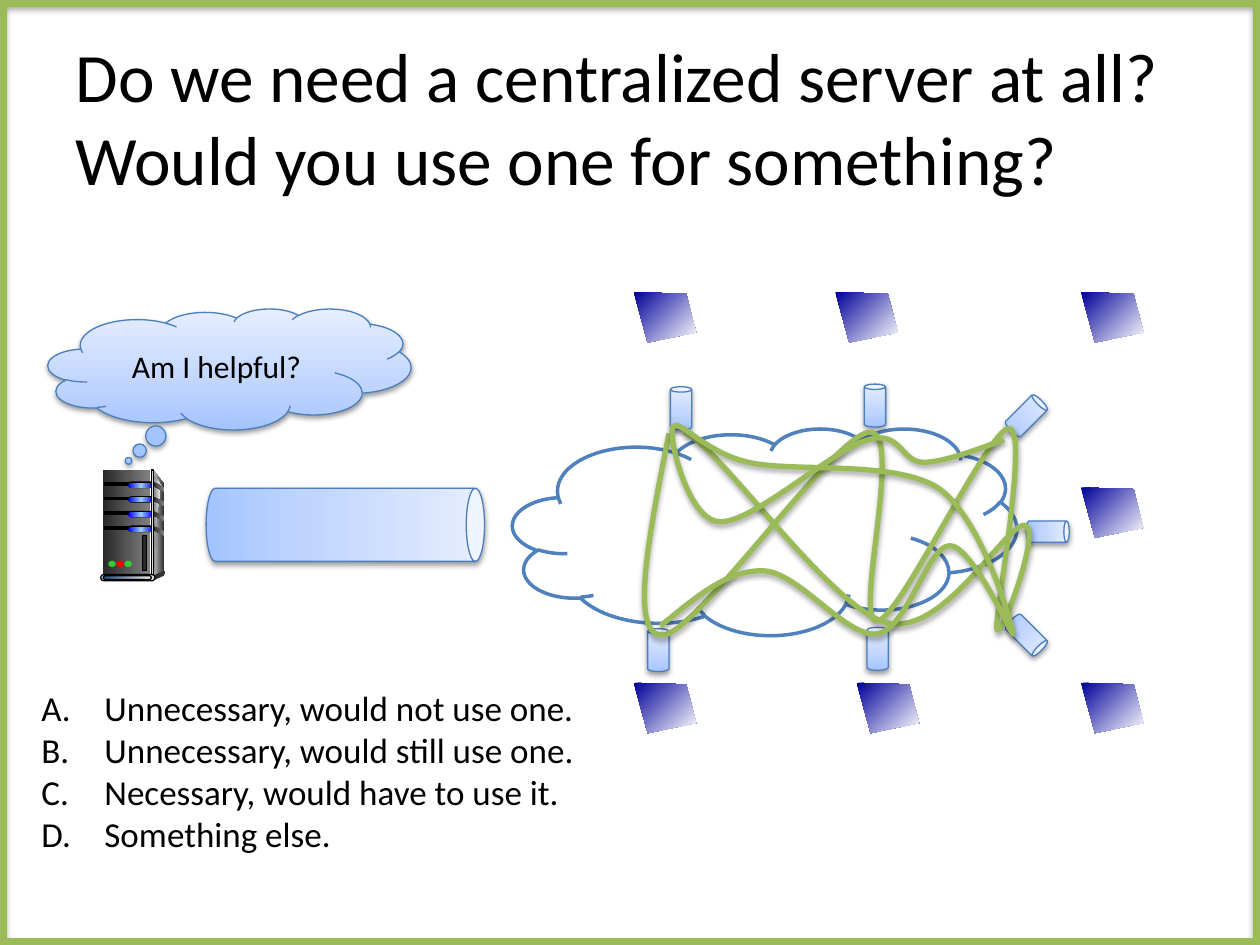
from lxml import etree
from pptx import Presentation
from pptx.dml.color import RGBColor
from pptx.enum import shapes, text
from pptx.oxml.ns import qn
from pptx.util import Pt

KIND = shapes.MSO_SHAPE
GLASS = ((0, "A4C4FF"), (35, "BFD4FF"), (100, "E6EEFF"))
METAL = ((0, "292929"), (100, "808080"))
BLUE_LIGHT = ((0, "0000FF"), (50, "99CCFF"), (100, "0000FF"))
SCREEN = ((0, "000099"), (100, "FFFFFF"))
SOFT = (38, 3.1, 1.6)  # shadow opacity in percent, blur, distance
GREEN_SHADOW = (35, 3.1, 1.8)

deck = Presentation()
deck.slide_width, deck.slide_height = Pt(720), Pt(540)
slide = deck.slides.add_slide(deck.slide_layouts[5])


def paint(shape, fill=None, line=None, width=0.75, angle=0, shadow=None):
    """Format a shape; fill is a hex colour or (percent, hex) stops, angle runs clockwise."""
    if fill is None:
        shape.fill.background()
    elif isinstance(fill, str):
        shape.fill.solid()
        shape.fill.fore_color.rgb = RGBColor.from_string(fill)
    else:
        shape.fill.gradient()
        shape.fill.gradient_angle = -angle % 360
        stops = shape._element.spPr.find(".//" + qn("a:gsLst"))
        for stop in list(stops):
            stops.remove(stop)
        for percent, colour in fill:
            stop = etree.SubElement(stops, qn("a:gs"), pos=str(percent * 1000))
            etree.SubElement(stop, qn("a:srgbClr"), val=colour)
    if line:
        shape.line.color.rgb = RGBColor.from_string(line)
        shape.line.width = Pt(width)
    else:
        shape.line.fill.background()
    shape.shadow.inherit = False
    if shadow:
        opacity, blur, distance = shadow
        effects = shape._element.spPr.find(qn("a:effectLst"))
        outer = etree.SubElement(effects, qn("a:outerShdw"), blurRad=str(Pt(blur)),
                                 dist=str(Pt(distance)), dir="5400000", rotWithShape="0")
        black = etree.SubElement(outer, qn("a:srgbClr"), val="000000")
        etree.SubElement(black, qn("a:alpha"), val=str(opacity * 1000))


def outline(points, curved=False, closed=True):
    """Add a freeform; when curved, every three points after the first make one Bézier."""
    start, *rest = [(Pt(x), Pt(y)) for x, y in points]
    builder = slide.shapes.build_freeform(*start)
    builder.add_line_segments(rest, close=closed)
    shape = builder.convert_to_shape()
    if curved:
        segments = list(shape._element.spPr.iter(qn("a:lnTo")))
        for i in range(0, len(segments), 3):
            curve = etree.Element(qn("a:cubicBezTo"))
            segments[i].addprevious(curve)
            for segment in segments[i:i + 3]:
                curve.append(segment[0])
                segment.getparent().remove(segment)
    return shape


title = slide.shapes.title
title.left, title.top, title.width, title.height = Pt(36), Pt(21.6), Pt(648), Pt(90)
title.text_frame.text = "Do we need a centralized server at all? Would you use one for something?"
title.text_frame.auto_size = text.MSO_AUTO_SIZE.NONE
title.text_frame.vertical_anchor = text.MSO_ANCHOR.MIDDLE
heading = title.text_frame.paragraphs[0]
heading.alignment = text.PP_ALIGN.LEFT
heading.font.size, heading.font.name = Pt(39.6), "Calibri"
heading.font.color.rgb = RGBColor.from_string("000000")

# Server case
paint(outline([(87.8, 268.6), (93.6, 276.5), (93.6, 326.9), (86.4, 329)]),
      ((0, "DDDDDD"), (100, "333333")))
front = slide.shapes.add_shape(KIND.RECTANGLE, Pt(59), Pt(268.6), Pt(26.6), Pt(60.5))
paint(front, METAL)
paint(outline([(87.8, 272.2), (87.8, 272.2), (89.3, 272.9), (92.2, 277.2),
               (87.8, 299.5), (88.6, 328.3), (87.8, 327.6)], curved=True),
      ((0, "808080"), (100, "F8F8F8")))

# Server parts: kind, left, top, width, height, fill, line
parts = []
for bay in range(4):
    y = 275.8 + 8.4 * bay
    parts += [(KIND.RECTANGLE, 59.8, y, 15.1, 1.4, "000000", "000000"),
              (KIND.ROUNDED_RECTANGLE, 73.2, y - 0.7, 15.1, 3.8, "000000", None),
              (KIND.ROUNDED_RECTANGLE, 73.4, y, 14.4, 2.8, BLUE_LIGHT, None)]
    vent = [(0, 0), (1.2, 0.4), (3.4, 1.6), (6.3, 3.2), (6.3, 4), (6.3, 3.8), (6.3, 5.6),
            (6.3, 5.6), (3.8, 3.8), (0, 2.3), (0, 1.2), (0, 0.5), (0, 0)]
    paint(outline([(87.4 + dx, y - 0.4 + dy) for dx, dy in vent], curved=True), METAL)
parts += [
    (KIND.RECTANGLE, 86.4, 268.6, 1.4, 60.5,
     ((0, "333333"), (50, "DDDDDD"), (100, "333333")), "000000"),
    (KIND.OVAL, 92.9, 326.2, 1.4, 2.2, "333333", None),
    (KIND.ROUNDED_RECTANGLE, 57.6, 328.3, 31, 3.6, "DDDDDD", "000000"),
    (KIND.ROUNDED_RECTANGLE, 59, 329, 27.4, 2.2, ((0, "1F497D"), (100, "EEECE1")), "000000"),
    (KIND.RECTANGLE, 81.4, 306, 2.2, 20.2, "292929", "000000"),
]
for i, colour in enumerate(("33CC33", "FF0000", "33CC33")):
    parts.append((KIND.OVAL, 61.9 + 4.6 * i, 320.4, 4.3, 3.6, colour, None))
paint(outline([(87.1, 329), (87.1, 331.9), (93.6, 329), (93.6, 326.2)]), "333333")
for kind, x, y, width, height, fill, line in parts:
    part = slide.shapes.add_shape(kind, Pt(x), Pt(y), Pt(width), Pt(height))
    if kind == KIND.ROUNDED_RECTANGLE:
        part.adjustments[0] = 0.5
    paint(part, fill, line)

# Network cloud, computers and their access links
network = slide.shapes.add_shape(KIND.CLOUD, Pt(293), Pt(244.8), Pt(288), Pt(118.1))
paint(network, "FFFFFF", "4F81BD", 2)
for x, y in ((362.2, 390.2), (489.6, 390.2), (617.8, 390.2), (617.8, 278.6),
             (362.2, 167), (477.4, 167), (617.8, 167)):
    corners = ((0, 0), (30, 0.9), (35.6, 23), (7.9, 28.8))
    paint(outline([(x + dx, y + dy) for dx, dy in corners]), SCREEN, angle=45)

# Links: centre x, centre y, width, length, rotation
links = [(197.3, 299.9, 41.8, 159.1, 90)]
links += [(x, y, 12.2, 24.5, turn) for x, y, turn in (
    (376.2, 371.5, 0), (501.5, 370.8, 0), (586.5, 362.9, 135), (598.7, 303.8, 90),
    (389.2, 233.3, 0), (500, 231.8, 0), (586.5, 237.6, 45))]
for x, y, width, length, turn in links:
    link = slide.shapes.add_shape(KIND.CAN, Pt(x - width / 2), Pt(y - length / 2),
                                  Pt(width), Pt(length))
    link.rotation = turn
    paint(link, GLASS, "4B7EBC", angle=270, shadow=SOFT)

# Peer-to-peer traffic
routes = (
    [(382.3, 247.7), (370.8, 305.3), (359.3, 363.6), (378.7, 362.9), (397.4, 362.9),
     (476.6, 248.4), (496.8, 247), (517, 245.5), (487.4, 355), (501.1, 355),
     (514.1, 354.2), (565.2, 244.1), (576.7, 244.8), (588.2, 245.5), (568.8, 349.9),
     (569.5, 359.3), (571, 367.9), (596.2, 301), (585.4, 300.2), (574.6, 299.5),
     (538.6, 365), (506.2, 355.7), (473.8, 347), (409.7, 253.4), (391, 247)],
    [(377.3, 357.8), (396.7, 342), (415.4, 325.4), (436.3, 326.2), (456.5, 326.9),
     (483.1, 364.3), (501.1, 362.2), (518.4, 360), (529.9, 311.8), (542.9, 311.8),
     (555.8, 311.8), (580.3, 367.2), (578.9, 362.2), (578.2, 356.4), (560.9, 295.2),
     (535.7, 278.6), (510.5, 262.8), (452.9, 270), (427.7, 264.2), (402.5, 258.5),
     (387.4, 238.3), (384.5, 244.1), (381.6, 249.1), (393.1, 297.4), (411.1, 298.1),
     (429.8, 299.5), (476.6, 256.3), (496.1, 251.3), (514.8, 245.5), (514.8, 264.2),
     (527.8, 264.2), (540.7, 264.2), (567.4, 253.4), (573.8, 251.3)],
)
for route in routes:
    paint(outline(route, curved=True, closed=False), None, "9BBB59", 3, shadow=GREEN_SHADOW)

frame = slide.shapes.add_shape(KIND.RECTANGLE, 0, 0, Pt(720), Pt(540))
paint(frame, None, "9BBB59", 8, shadow=GREEN_SHADOW)

thought = slide.shapes.add_shape(KIND.CLOUD_CALLOUT, Pt(27.4), Pt(176.4), Pt(207.4), Pt(69.1))
thought.adjustments[0], thought.adjustments[1] = -0.278, 0.758
paint(thought, GLASS, "4B7EBC", angle=270, shadow=SOFT)
thought.text_frame.text = "Am I helpful?"
thought.text_frame.vertical_anchor = text.MSO_ANCHOR.MIDDLE
question = thought.text_frame.paragraphs[0]
question.alignment = text.PP_ALIGN.CENTER
question.font.size, question.font.name = Pt(18), "Calibri"
question.font.color.rgb = RGBColor.from_string("000000")

answers = slide.shapes.add_textbox(Pt(16.6), Pt(388.8), Pt(326.2), Pt(104.4)).text_frame
answers.word_wrap = True
answers.text = "\n".join(("Unnecessary, would not use one.", "Unnecessary, would still use one.",
                          "Necessary, would have to use it.", "Something else."))
for answer in answers.paragraphs:
    properties = answer._p.get_or_add_pPr()
    properties.set("marL", str(Pt(36)))
    properties.set("indent", str(-Pt(36)))
    etree.SubElement(properties, qn("a:buFont"), typeface="+mj-lt")
    etree.SubElement(properties, qn("a:buAutoNum"), type="alphaUcPeriod")
    answer.font.size, answer.font.name = Pt(20), "Calibri"
    answer.font.color.rgb = RGBColor.from_string("000000")

deck.save("out.pptx")
